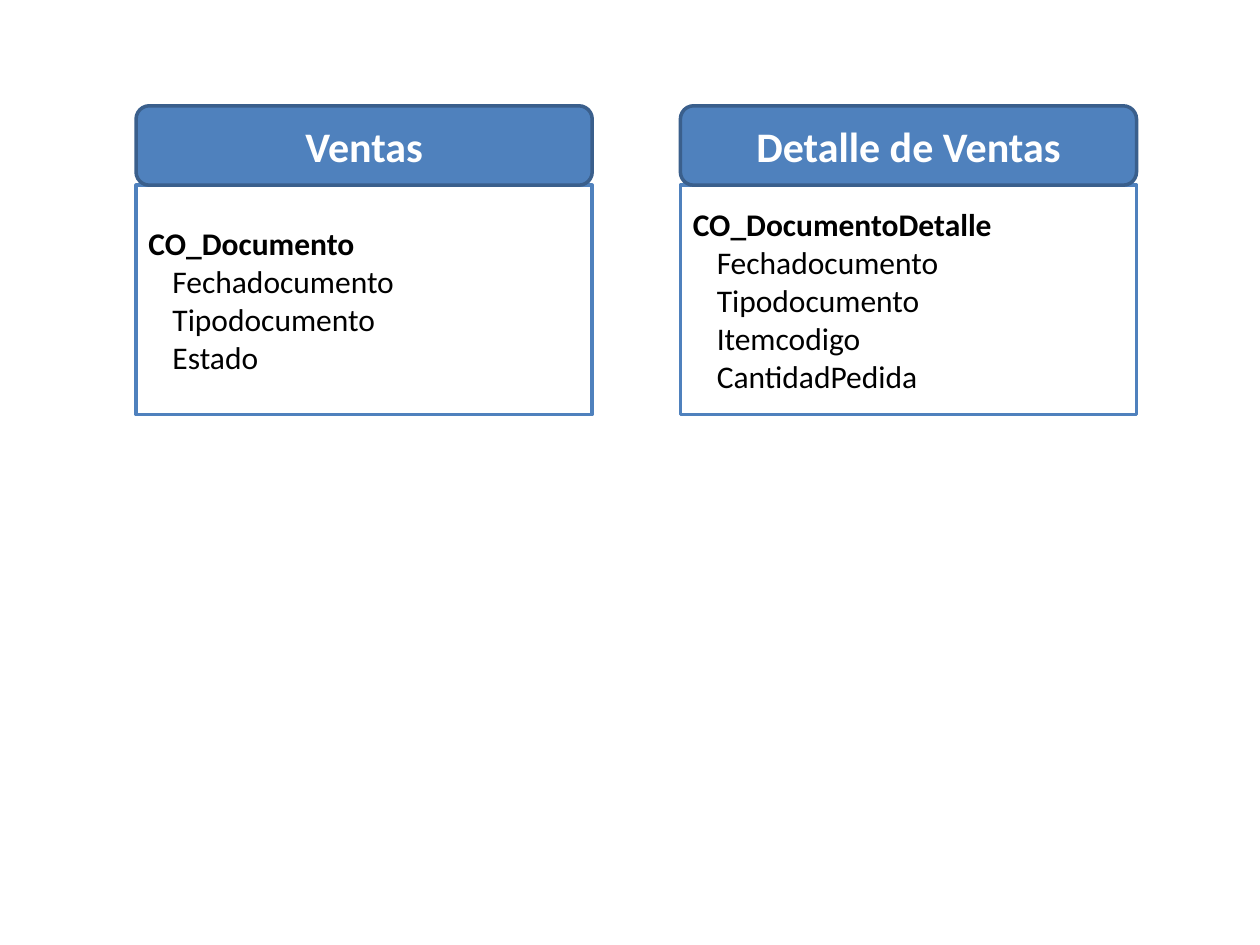
from pptx import Presentation
from pptx.dml.color import RGBColor
from pptx.enum.shapes import MSO_SHAPE
from pptx.enum.text import MSO_ANCHOR, PP_ALIGN
from pptx.util import Inches, Pt

RECT = MSO_SHAPE.RECTANGLE
ROUND = MSO_SHAPE.FLOWCHART_ALTERNATE_PROCESS
MIDDLE = MSO_ANCHOR.MIDDLE
LEFT, CENTER = PP_ALIGN.LEFT, PP_ALIGN.CENTER

BLUE = RGBColor(0x4F, 0x81, 0xBD)
NAVY = RGBColor(0x3A, 0x5F, 0x8C)
WHITE = RGBColor(0xFF, 0xFF, 0xFF)
BLACK = RGBColor(0x00, 0x00, 0x00)

HEAD = 0.63
INDENT = 0.19
TABLES = [
    ("Ventas", "CO_Documento",
     ["Fechadocumento", "Tipodocumento", "Estado"]),
    ("Detalle de Ventas", "CO_DocumentoDetalle",
     ["Fechadocumento", "Tipodocumento", "Itemcodigo", "CantidadPedida"]),
]


def add_box(slide, kind, box, fill, edge):
    """Add a filled, outlined shape and return its text frame."""
    shape = slide.shapes.add_shape(kind, *map(Inches, box))
    shape.shadow.inherit = False
    shape.fill.solid()
    shape.fill.fore_color.rgb = fill
    shape.line.color.rgb = edge
    shape.line.width = Pt(2)
    frame = shape.text_frame
    frame.word_wrap = True
    frame.vertical_anchor = MIDDLE
    return frame


def style(para, size, color, bold, align):
    """Set the alignment of a paragraph and the font of its runs."""
    para.alignment = align
    for run in para.runs:
        font = run.font
        font.name = "Calibri"
        font.size = Pt(size)
        font.bold = bold
        font.color.rgb = color


def add_table_card(slide, box, title, table, fields):
    """Place a card with a title bar over a table name and its fields."""
    left, top, width, height = box
    body = add_box(slide, RECT, (left, top + HEAD, width, height - HEAD),
                   WHITE, BLUE)
    body.text = "\n".join([table, *fields])
    for i, para in enumerate(body.paragraphs):
        para.level = 1
        props = para._p.get_or_add_pPr()
        props.set("marL", str(Inches(INDENT if i else 0)))
        props.set("indent", "0")
        style(para, 18, BLACK, i == 0, LEFT)
    head = add_box(slide, ROUND, (left, top, width, HEAD), BLUE, NAVY)
    head.text = title
    style(head.paragraphs[0], 24, WHITE, True, CENTER)


def main():
    """Build the slide and save it."""
    deck = Presentation()
    deck.slide_width, deck.slide_height = Inches(10), Inches(7.5)
    slide = deck.slides.add_slide(deck.slide_layouts[6])
    for i, card in enumerate(TABLES):
        add_table_card(slide, (1.08 + i * 4.32, 0.84, 3.62, 2.45), *card)
    deck.save("out.pptx")


if __name__ == "__main__":
    main()
